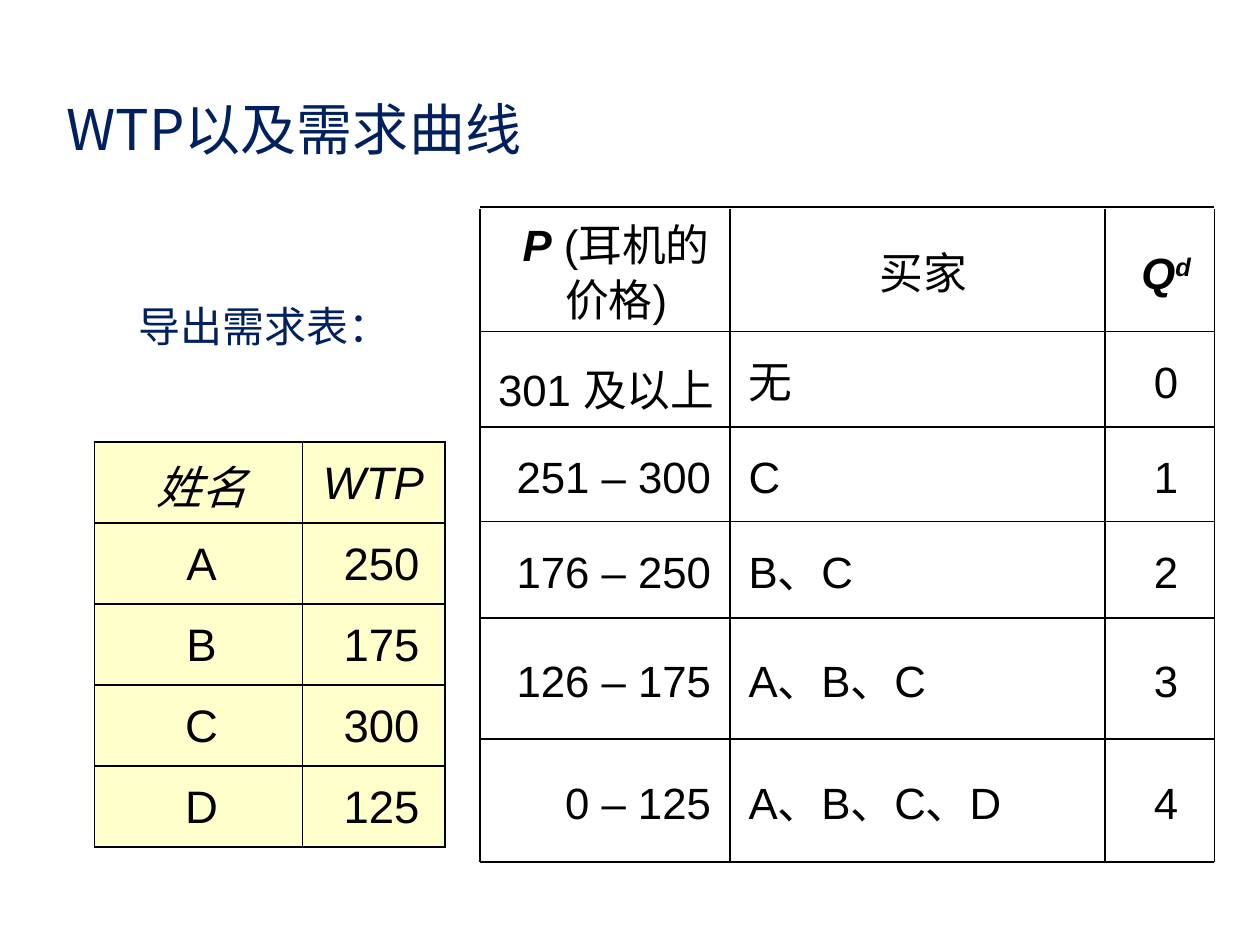
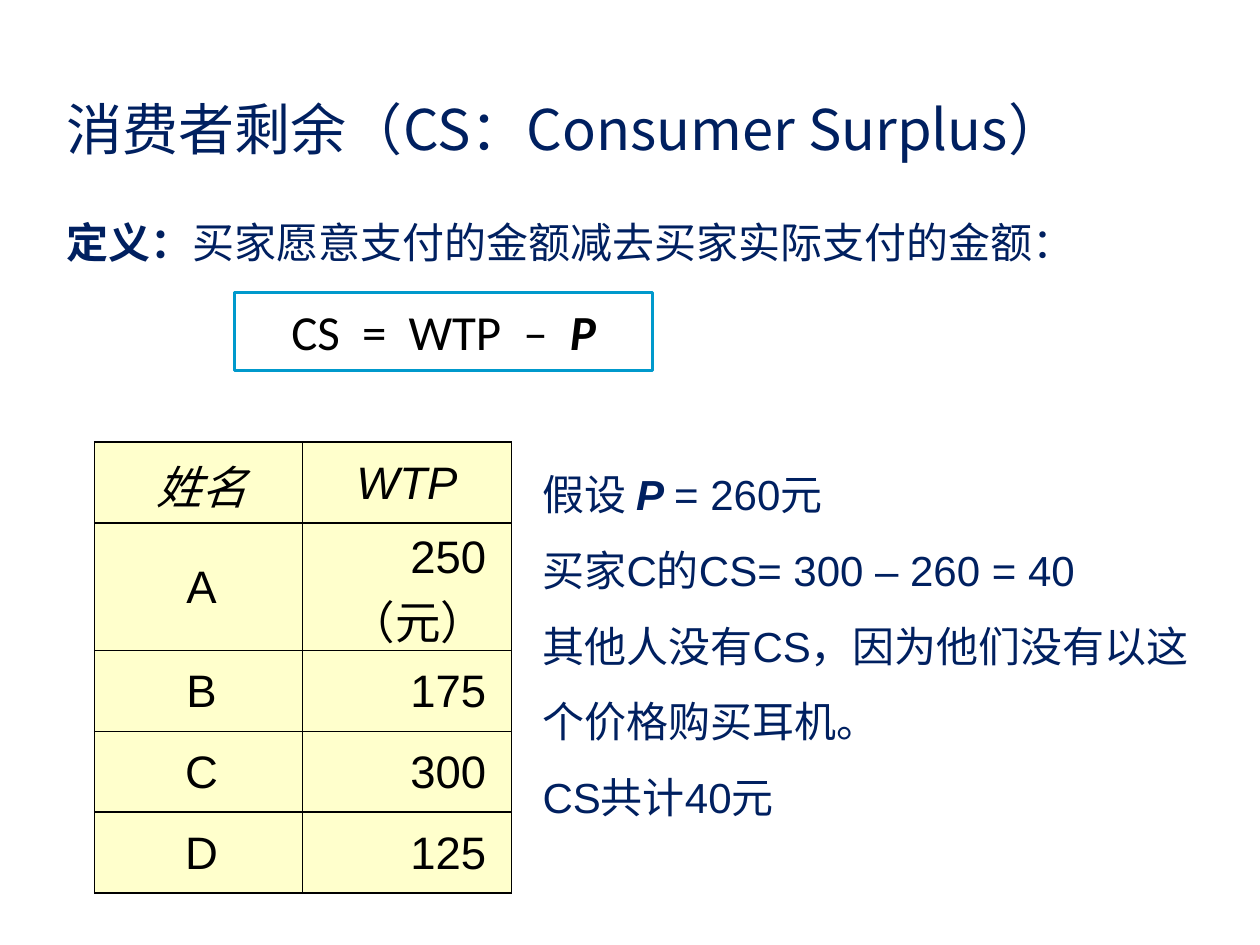
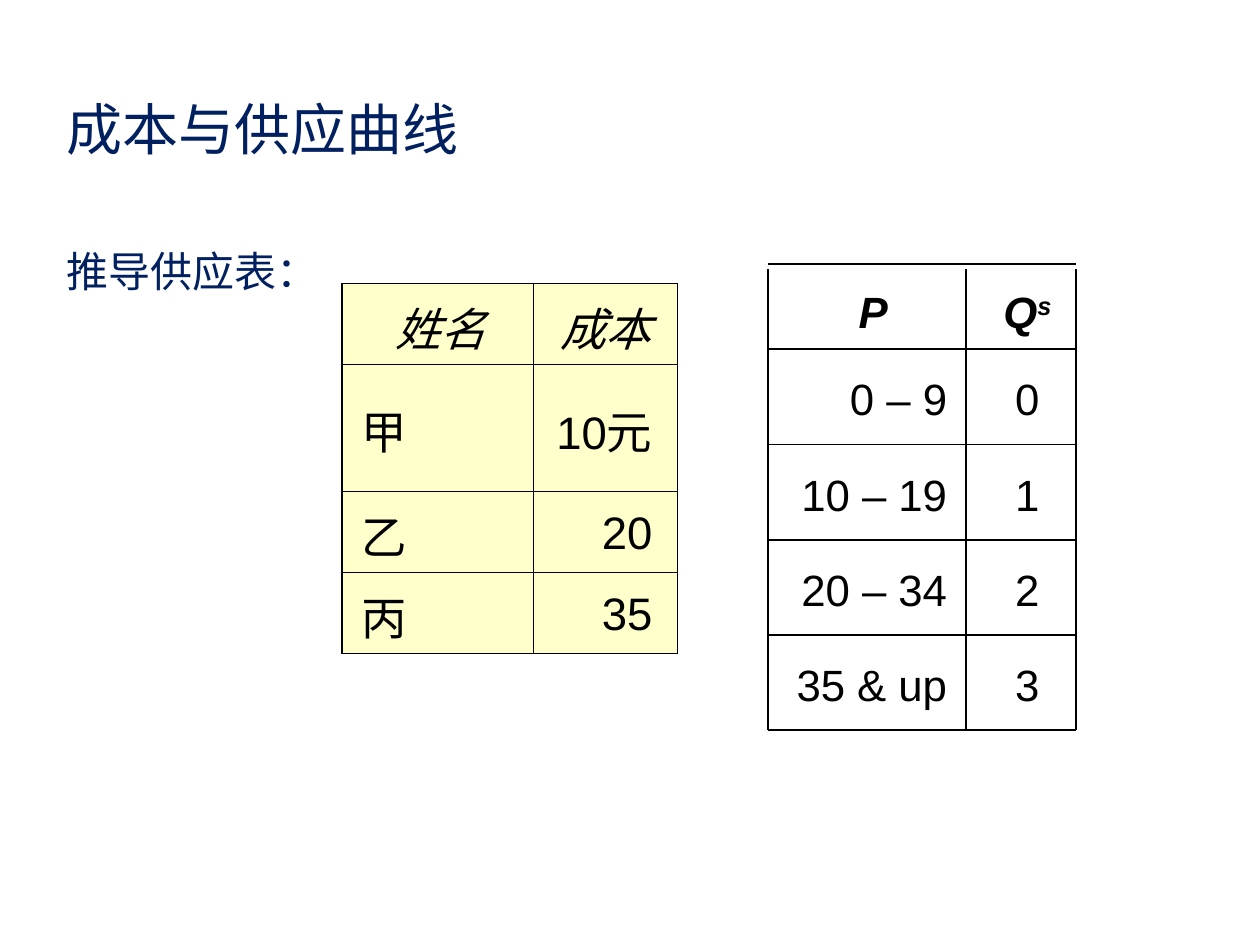
from dataclasses import dataclass
from itertools import pairwise

from lxml import etree
from pptx import Presentation
from pptx import util as u
from pptx.dml.color import RGBColor
from pptx.enum import shapes, text
from pptx.oxml import ns

Pt = u.Pt
LEFT, MID, RIGHT = (text.PP_ALIGN.LEFT, text.PP_ALIGN.CENTER,
                    text.PP_ALIGN.RIGHT)


@dataclass(frozen=True)
class Theme:
    # Colours
    navy: str = "002060"
    ink: str = "000000"
    cream: str = "FFFFCC"
    cyan: str = "0099CC"
    # Fonts
    han: str = "Noto Sans CJK SC"
    sans: str = "Arial"
    math: str = "Calibri"
    # Type sizes
    title: int = 32
    body: int = 24
    grid: int = 25
    table: int = 26
    sum: int = 28


T = Theme()
VAR = {"bold": True, "italic": True}
SUP = VAR | {"up": 30}

# Text looks: font, size, colour, line spacing, space before in percent
HEAD = {"name": T.han, "size": T.title, "ink": T.navy}
BODY = {"name": T.han, "size": T.body, "ink": T.navy, "line": 1.5}
GRID = {"name": T.sans, "size": T.grid, "ink": T.ink, "line": 1.05, "gap": 45}
CELL = GRID | {"size": T.table}
SUM = {"name": T.math, "size": T.sum, "ink": T.ink}

# Side insets, left and right
EVEN, NAME, COST = (7.2, 7.2), (10.8, 7.2), (7.2, 14.4)
FLUSH, RANGE, BUYER = (7.2, 0), (7.2, 10.8), (10.8, 0)


def sub(node, tag, **attrs):
    return etree.SubElement(node, ns.qn(tag), attrs)


class Deck:
    def __init__(self, theme):
        self.t = theme
        self.prs = Presentation()
        self.prs.slide_width, self.prs.slide_height = Pt(720), Pt(540)

    def page(self, title):
        self.slide = self.prs.slides.add_slide(self.prs.slide_layouts[6])
        self.box((31, 54.7, 650, 36.7), title, HEAD, mid=True)

    def words(self, frame, paras, look, align=LEFT):
        """Each paragraph is a string or a list of (text, format) runs."""
        for i, runs in enumerate([paras] if isinstance(paras, str) else paras):
            p = frame.add_paragraph() if i else frame.paragraphs[0]
            p.alignment, p.line_spacing = align, look.get("line", 1.0)
            p.space_before = Pt(0)
            if look.get("gap"):
                gap = p._p.pPr.find(ns.qn("a:spcBef"))
                gap.clear()
                sub(gap, "a:spcPct", val=str(look["gap"] * 1000))
            for words, extra in ([(runs, {})] if isinstance(runs, str) else runs):
                self.run(p, words, look | extra)

    def run(self, p, words, look):
        r = p.add_run()
        r.text = words
        form = {"name": look["name"], "size": Pt(look["size"]),
                "bold": look.get("bold", False),
                "italic": look.get("italic", False)}
        for key, val in form.items():
            setattr(r.font, key, val)
        r.font.color.rgb = RGBColor.from_string(look["ink"])
        mark = r._r.get_or_add_rPr()
        sub(mark, "a:ea", typeface=self.t.han)
        if "up" in look:
            mark.set("baseline", str(look["up"] * 1000))

    def inset(self, obj, sides):
        form = {"margin_left": sides[0], "margin_right": sides[1],
                "margin_top": 3.6, "margin_bottom": 3.6}
        for key, val in form.items():
            setattr(obj, key, Pt(val))

    def box(self, place, paras, look, align=LEFT, sides=EVEN, mid=False):
        frame = self.slide.shapes.add_textbox(*map(Pt, place)).text_frame
        frame.word_wrap = True
        frame.vertical_anchor = (text.MSO_ANCHOR.MIDDLE if mid
                                 else text.MSO_ANCHOR.TOP)
        self.inset(frame, sides)
        self.words(frame, paras, look, align)

    def panel(self, place, paras, look):
        shape = self.slide.shapes.add_shape(shapes.MSO_SHAPE.RECTANGLE,
                                            *map(Pt, place))
        shape.shadow.inherit = False
        shape.fill.background()
        shape.line.color.rgb = RGBColor.from_string(self.t.cyan)
        shape.line.width = Pt(1.5)
        frame = shape.text_frame
        frame.word_wrap = False
        frame.vertical_anchor = text.MSO_ANCHOR.MIDDLE
        self.words(frame, paras, look, MID)

    def rule(self, *ends):
        line = self.slide.shapes.add_connector(
            shapes.MSO_CONNECTOR.STRAIGHT, *map(Pt, ends))
        line.line.color.rgb = RGBColor.from_string(self.t.ink)
        line.line.width = Pt(1)
        sub(line._element.spPr, "a:effectLst")

    def grid(self, xs, ys, rows, cols, top, pad=0, skip=()):
        """Ruled grid; cols gives alignment and insets below the heading."""
        for r, (row, (y, end)) in enumerate(zip(rows, pairwise(ys))):
            for c, (words, (x, edge)) in enumerate(zip(row, pairwise(xs))):
                if (r, c) in skip:
                    continue
                align, sides = cols[c] if r else (MID, FLUSH)
                x += 0 if c else pad
                self.box((x, y, edge - x, end - y), words, GRID,
                         align, sides, mid=True)
        for y in [top, *ys[1:]]:
            self.rule(xs[0], y, xs[-1], y)
        for x in xs:
            self.rule(x, ys[0], x, ys[-1])

    def table(self, x, y, wide, rows, first=MID):
        high = 46.25
        table = self.slide.shapes.add_table(
            len(rows), len(wide), Pt(x), Pt(y),
            Pt(sum(wide)), Pt(high * len(rows))).table
        table.first_row = table.horz_banding = False
        for col, w in zip(table.columns, wide):
            col.width = Pt(w)
        for r, row in enumerate(rows):
            table.rows[r].height = Pt(high)
            for c, words in enumerate(row):
                cell = table.cell(r, c)
                self.edge(cell)
                cell.fill.solid()
                cell.fill.fore_color.rgb = RGBColor.from_string(self.t.cream)
                cell.vertical_anchor = text.MSO_ANCHOR.MIDDLE
                self.inset(cell, NAME if c == 0 else COST if r else EVEN)
                align = (RIGHT if c else first) if r else MID
                self.words(cell.text_frame, words,
                           CELL | {"italic": r == 0}, align)

    def edge(self, cell):
        props = cell._tc.get_or_add_tcPr()
        for side in "LRTB":
            line = sub(props, f"a:ln{side}", w=str(Pt(1)))
            sub(sub(line, "a:solidFill"), "a:srgbClr", val=self.t.ink)


def demand(deck):
    deck.page("WTP以及需求曲线")
    deck.box((72, 154, 187, 46), "导出需求表：", BODY)
    deck.table(54, 252.7, (118.8, 81.4), [
        ("姓名", "WTP"), ("A", "250"), ("B", "175"), ("C", "300"), ("D", "125")])

    # Demand schedule
    rows = [
        ([[("P", VAR), (" (耳机的价格)", {})]], "买家",
         [[("Q", VAR), ("d", SUP)]]),
        ("301 及以上", "无", "0"),
        ("251 – 300", "C", "1"),
        ("176 – 250", "B、C", "2"),
        ("126 – 175", "A、B、C", "3"),
        ("0 – 125", "A、B、C、D", "4")]
    deck.grid((274.5, 417, 631.5, 694),
              (119.5, 189.5, 244, 298, 353, 422.5, 492.5), rows,
              ((RIGHT, RANGE), (LEFT, BUYER), (MID, FLUSH)),
              top=118.5, pad=5.5, skip={(1, 0)})
    # The top price band is wider than its column
    deck.box((264, 195, 168.5, 54.5), rows[1][0], GRID | {"line": 1, "gap": 0},
             MID, RANGE, mid=True)


def surplus(deck):
    deck.page("消费者剩余（CS：Consumer Surplus）")
    deck.box((31, 106, 635, 94), [[
        ("定义：", {"bold": True}),
        ("买家愿意支付的金额减去买家实际支付的金额：", {})]], BODY)
    deck.table(54, 252.7, (118.8, 119.5), [
        ("姓名", "WTP"), ("A", "250（元）"), ("B", "175"), ("C", "300"),
        ("D", "125")])

    # Worked example
    deck.box((303, 250, 397, 225), [
        [("假设 ", {"name": T.han}), ("P ", VAR), ("= 260元", {})],
        "买家C的CS= 300 – 260 = 40",
        "其他人没有CS，因为他们没有以这个价格购买耳机。",
        "CS共计40元"], BODY | {"name": T.sans})
    deck.panel((134, 167, 239, 44.7),
               [[("CS  =  WTP  –  ", {}), ("P", VAR)]], SUM)


def supply(deck):
    deck.page("成本与供应曲线")
    deck.box((31, 122.4, 148, 50), "推导供应表：", BODY | {"gap": 20})

    # Supply schedule
    deck.grid((439, 552, 615), (154, 199.5, 254, 308.5, 363, 417), [
        ([[("P", VAR)]], [[("Q", VAR), ("s", SUP)]]),
        ("0 – 9", "0"), ("10 – 19", "1"), ("20 – 34", "2"), ("35 & up", "3")],
        ((RIGHT, RANGE), (MID, FLUSH)), top=151)
    deck.table(195.5, 162, (109.3, 82.5), [
        ("姓名", "成本"), ("甲", "10元"), ("乙", "20"), ("丙", "35")], LEFT)


def main():
    deck = Deck(T)
    for build in (demand, surplus, supply):
        build(deck)
    deck.prs.save("out.pptx")


if __name__ == "__main__":
    main()
